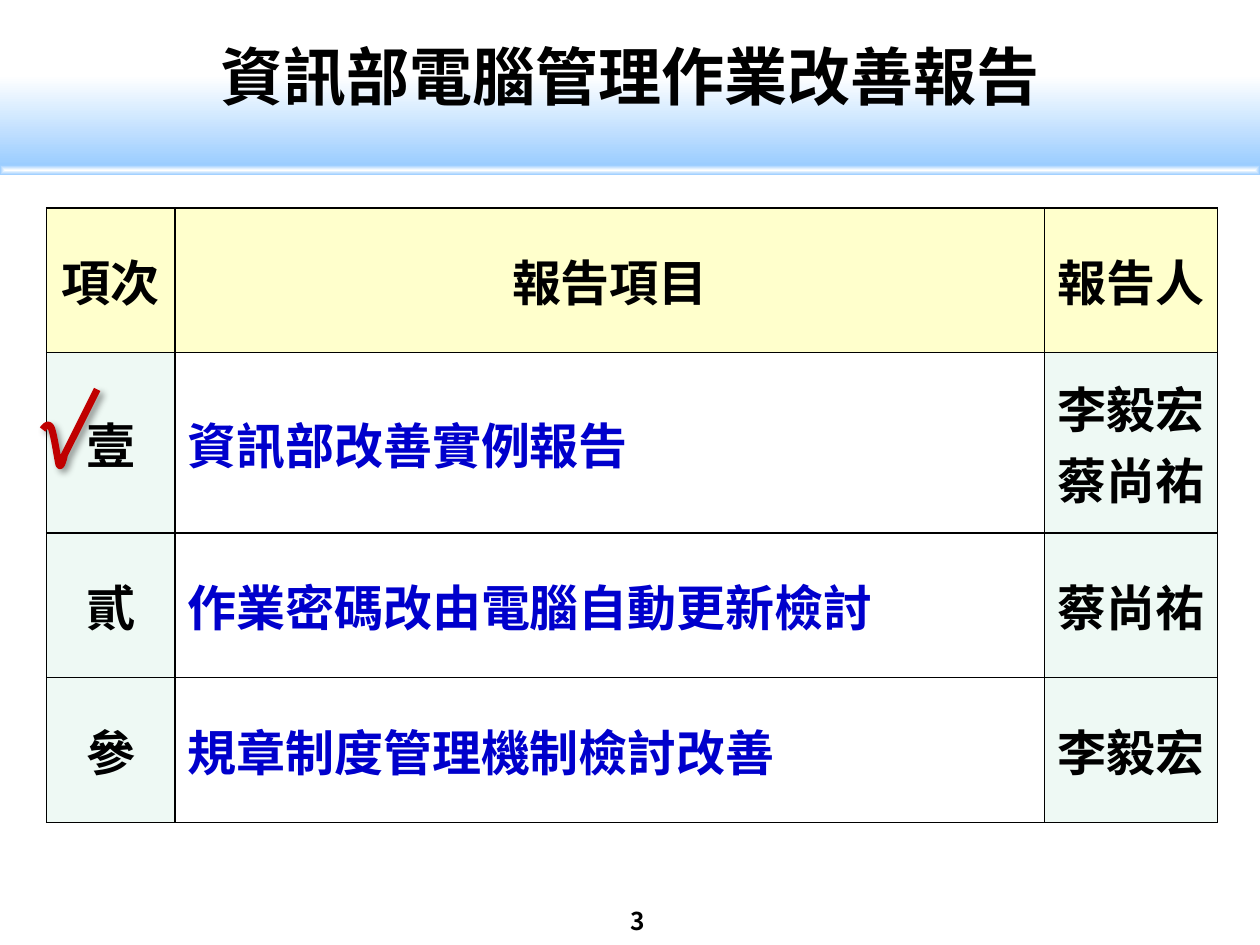
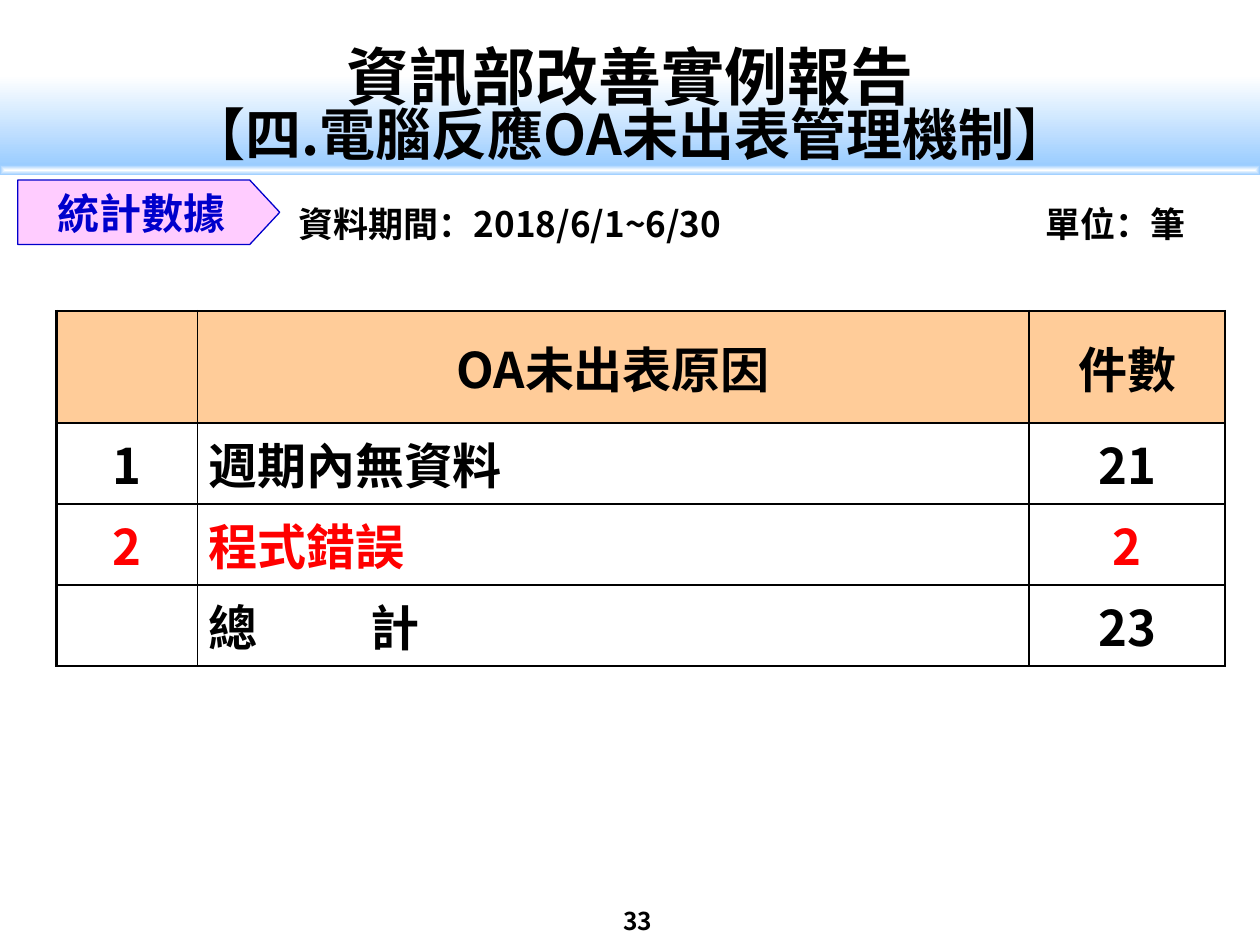
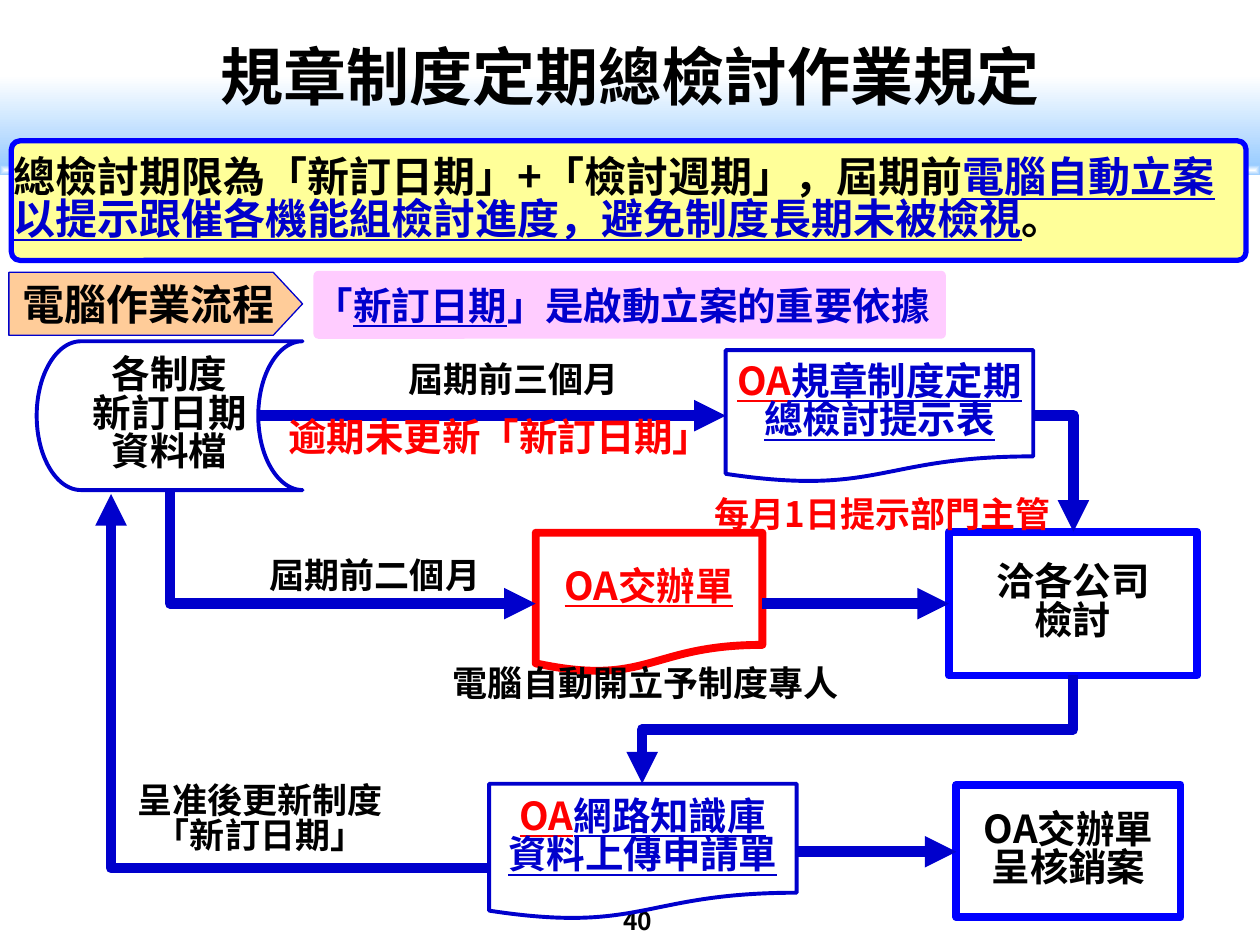
from lxml import etree
from pptx import Presentation
from pptx.dml.color import RGBColor
from pptx.enum.shapes import MSO_CONNECTOR, MSO_SHAPE
from pptx.enum.text import MSO_ANCHOR, MSO_AUTO_SIZE, PP_ALIGN
from pptx.oxml.ns import qn
from pptx.util import Cm, Pt

FONT = "Noto Sans CJK SC"
BLACK = RGBColor(0x00, 0x00, 0x00)
WHITE = RGBColor(0xFF, 0xFF, 0xFF)
SKY = RGBColor(0x99, 0xCC, 0xFF)
NAVY = RGBColor(0x00, 0x00, 0xCC)
BLUE = RGBColor(0x00, 0x00, 0xFF)
RED = RGBColor(0xFF, 0x00, 0x00)
DARK = RGBColor(0xC0, 0x00, 0x00)
CREAM = RGBColor(0xFF, 0xFF, 0xCC)
LEMON = RGBColor(0xFF, 0xFF, 0x99)
MINT = RGBColor(0xEE, 0xF9, 0xF4)
PINK = RGBColor(0xFF, 0xCC, 0xFF)
PEACH = RGBColor(0xFF, 0xCC, 0x99)
LEFT, MID = PP_ALIGN.LEFT, PP_ALIGN.CENTER
CENTRED, FIXED = MSO_ANCHOR.MIDDLE, MSO_AUTO_SIZE.NONE
RECT, ROUND = MSO_SHAPE.RECTANGLE, MSO_SHAPE.ROUNDED_RECTANGLE
PLATE, DOC = MSO_SHAPE.PENTAGON, MSO_SHAPE.FLOWCHART_DOCUMENT
STORE = MSO_SHAPE.FLOWCHART_STORED_DATA
STRAIGHT, ELBOW = MSO_CONNECTOR.STRAIGHT, MSO_CONNECTOR.ELBOW
TIGHT = 0.83
PLAIN = {"vertical_anchor": CENTRED, "margin_left": 0, "margin_right": 0,
         "margin_top": 0, "margin_bottom": 0}


def write(frame, paras, size, color=BLACK, align=MID, gap=None):
    """Fill a frame; a paragraph is a string or a list of (text, colour, underline)."""
    for i, para in enumerate(paras):
        p = frame.paragraphs[0] if i == 0 else frame.add_paragraph()
        p.alignment = align
        p.line_spacing = gap
        runs = [(para, color, False)] if isinstance(para, str) else para
        for text, tint, under in runs:
            run = p.add_run()
            run.text = text
            look = {"size": Pt(size), "bold": True, "underline": under, "name": FONT}
            for key, value in look.items():
                setattr(run.font, key, value)
            run.font.color.rgb = tint
            etree.SubElement(run._r.get_or_add_rPr(), qn("a:ea"), typeface=FONT)


def box(slide, at, paras, size, form=None, fill=None, line=None, width=1, adj=None,
        pad=0, **look):
    """Add a preset shape, or a text box when no form is given; lengths in cm."""
    place = [Cm(n) for n in at]
    if form is None:
        shape = slide.shapes.add_textbox(*place)
    else:
        shape = slide.shapes.add_shape(form, *place)
        shape.shadow.inherit = False
        if adj:
            shape.adjustments[0] = adj
    if fill:
        shape.fill.solid()
        shape.fill.fore_color.rgb = fill
    else:
        shape.fill.background()
    if line:
        shape.line.color.rgb = line
        shape.line.width = Pt(width)
    else:
        shape.line.fill.background()
    style = PLAIN | {"word_wrap": True, "margin_left": Cm(pad), "margin_right": Cm(pad)}
    for key, value in style.items():
        setattr(shape.text_frame, key, value)
    write(shape.text_frame, paras, size, **look)


deck = Presentation()
deck.slide_width, deck.slide_height = Cm(25.4), Cm(19.05)

# Shared bands, titles and page numbers
slides = []
for head, page in [("資訊部電腦管理作業改善報告", "3"),
                   ("資訊部改善實例報告", "33"),
                   ("規章制度定期總檢討作業規定", "40")]:
    slide = deck.slides.add_slide(deck.slide_layouts[5])
    slides.append(slide)
    for top, high, inner in [(1.52, 1.85, False), (3.33, 0.2, True)]:
        band = slide.shapes.add_shape(RECT, 0, Cm(top), Cm(25.4), Cm(high))
        band.shadow.inherit = False
        band.line.fill.background()
        band.fill.gradient()
        band.fill.gradient_angle = 270
        for stop, tint in zip(band.fill.gradient_stops, (WHITE, SKY)):
            stop.color.rgb = tint
        if inner:
            grad = band.element.spPr.find(qn("a:gradFill"))
            grad.remove(grad.find(qn("a:lin")))
            focus = etree.SubElement(grad, qn("a:path"), {"path": "shape"})
            etree.SubElement(focus, qn("a:fillToRect"), dict.fromkeys("ltrb", "50000"))
    title = slide.shapes.title
    title.element.getparent().append(title.element)
    style = {"left": 0, "top": Cm(0.74), "width": Cm(25.4), "height": Cm(1.55)}
    for key, value in style.items():
        setattr(title, key, value)
    style = PLAIN | {"auto_size": FIXED}
    for key, value in style.items():
        setattr(title.text_frame, key, value)
    write(title.text_frame, [head], 36)
    box(slide, (11.66, 18.25, 2.39, 0.61), [page], 14)
agenda, stats, flow = slides

# Tables of the agenda and the statistics
plans = [
    {"slide": agenda, "at": (0.94, 4.19), "cols": (2.59, 17.53, 3.48),
     "rows": (2.92, 3.63, 2.92, 2.92), "edge": 1, "pad": 0.25,
     "head": CREAM, "side": MINT, "body": NAVY, "hot": None,
     "cells": [("項次", "報告項目", "報告人"),
               ("壹", "資訊部改善實例報告", "李毅宏\n蔡尚祐"),
               ("貳", "作業密碼改由電腦自動更新檢討", "蔡尚祐"),
               ("參", "規章制度管理機制檢討改善", "李毅宏")]},
    {"slide": stats, "at": (1.14, 6.27), "cols": (2.84, 16.76, 3.96),
     "rows": (2.26, 1.63, 1.63, 1.63), "edge": 1.5, "pad": 0.22,
     "head": PEACH, "side": WHITE, "body": BLACK, "hot": 2,
     "cells": [("", "OA未出表原因", "件數"),
               ("1", "週期內無資料", "21"),
               ("2", "程式錯誤", "2"),
               ("", "總\t計", "23")]},
]
for plan in plans:
    cols, rows = plan["cols"], plan["rows"]
    frame = plan["slide"].shapes.add_table(
        len(rows), len(cols), *[Cm(n) for n in (*plan["at"], sum(cols), sum(rows))])
    grid = frame.table
    for col, wide in zip(grid.columns, cols):
        col.width = Cm(wide)
    for row, high in zip(grid.rows, rows):
        row.height = Cm(high)
    for r, texts in enumerate(plan["cells"]):
        for c, text in enumerate(texts):
            cell = grid.cell(r, c)
            outer = {"L": c == 0, "R": c == len(cols) - 1,
                     "T": r == 0, "B": r == len(rows) - 1}
            prop = cell._tc.get_or_add_tcPr()
            for side, out in outer.items():
                wide = Pt(plan["edge"] if out else 1)
                edge = etree.SubElement(prop, qn("a:ln" + side), w=str(wide))
                solid = etree.SubElement(edge, qn("a:solidFill"))
                etree.SubElement(solid, qn("a:srgbClr"), val=str(BLACK))
            cell.fill.solid()
            main = r > 0 and c == 1
            cell.fill.fore_color.rgb = (plan["head"] if r == 0 else
                                        WHITE if main else plan["side"])
            pad = Cm(plan["pad"])
            style = PLAIN | {"margin_left": pad, "margin_right": pad}
            for key, value in style.items():
                setattr(cell, key, value)
            if "\t" in text:
                prop = cell.text_frame.paragraphs[0]._p.get_or_add_pPr()
                tabs = etree.SubElement(prop, qn("a:tabLst"))
                etree.SubElement(tabs, qn("a:tab"), pos=str(Cm(3.27)), algn="l")
            if text:
                tint = RED if r == plan["hot"] else plan["body"] if main else BLACK
                write(cell.text_frame, text.split("\n"), 28, tint, LEFT if main else MID)

# Check mark beside the first item: cubic curves, then a straight stroke
start = (0.86, 8.66)
curves = [((0.91, 8.59), (0.99, 8.51), (1.04, 8.64)),
          ((1.09, 8.76), (1.17, 9.3), (1.19, 9.37)),
          ((1.24, 9.47), (1.3, 9.17), (1.3, 9.17))]
dots, last = [], start
for one, two, end in curves:
    for step in range(1, 9):
        t = step / 8
        dots.append([(1 - t) ** 3 * a + 3 * t * (1 - t) ** 2 * b
                     + 3 * t * t * (1 - t) * c + t ** 3 * d
                     for a, b, c, d in zip(last, one, two, end)])
    last = end
dots.append((1.96, 7.85))
pen = agenda.shapes.build_freeform(Cm(start[0]), Cm(start[1]))
pen.add_line_segments([(Cm(x), Cm(y)) for x, y in dots], close=False)
check = pen.convert_to_shape()
check.fill.background()
check.line.color.rgb = DARK
check.line.width = Pt(4)
check.shadow.inherit = False
glow = etree.SubElement(check.element.spPr.find(qn("a:effectLst")), qn("a:outerShdw"),
                        blurRad=str(Pt(4)), dist=str(Pt(3)), dir="2700000")
shade = etree.SubElement(glow, qn("a:srgbClr"), val=str(BLACK))
etree.SubElement(shade, qn("a:alpha"), val="40000")

# Labels of the statistics
box(stats, (0, 2.01, 25.4, 1.35), ["【四.電腦反應OA未出表管理機制】"], 32)
box(stats, (0.36, 3.63, 5.28, 1.3), ["統計數據"], 24, PLATE, PINK, NAVY, 0.75, 0.465,
    color=NAVY)
box(stats, (5.77, 3.96, 9.47, 1.09), ["資料期間：2018/6/1~6/30"], 20, pad=0.25, align=LEFT)
box(stats, (20.83, 3.96, 3.4, 1.09), ["單位：筆"], 20, pad=0.25, align=LEFT)

# Review flow: steps
box(flow, (0.23, 2.84, 24.89, 2.41),
    [[("總檢討期限為「新訂日期」+「檢討週期」，屆期前", BLACK, False),
      ("電腦自動立案以提示跟催各機能組檢討進度，避免制度長期未被檢視", NAVY, True),
      ("。", BLACK, False)]],
    24, ROUND, LEMON, BLUE, 3, 0.071, align=LEFT, gap=TIGHT)
box(flow, (0.18, 5.49, 5.92, 1.27), ["電腦作業流程"], 24, PLATE, PEACH, NAVY, 0.75, 0.465)
box(flow, (6.32, 5.46, 12.75, 1.37),
    [[("「", NAVY, False), ("新訂日期", NAVY, True), ("」是啟動立案的重要依據", NAVY, False)]],
    22, ROUND, PINK, adj=0.071, align=LEFT)
steps = [
    ((0.74, 6.88, 5.36, 3), STORE, NAVY, 2.25, ["各制度", "新訂日期資料檔"]),
    ((10.8, 10.74, 4.57, 2.82), DOC, RED, 4.5, [[("OA交辦單", RED, True)]]),
    ((14.63, 7.06, 6.2, 2.67), DOC, NAVY, 2.25,
     [[("OA", RED, True), ("規章制度定期總檢討提示表", NAVY, True)]]),
    ((19.13, 10.72, 5, 2.9), RECT, BLUE, 4.5, ["洽各公司", "檢討"]),
    ((9.86, 15.8, 6.2, 2.74), DOC, NAVY, 2.25,
     [[("OA", RED, True), ("網路知識庫", NAVY, True)], [("資料上傳申請單", NAVY, True)]]),
    ((19.28, 15.82, 4.52, 2.67), RECT, BLUE, 4.5, ["OA交辦單", "呈核銷案"]),
]
for at, form, tint, width, paras in steps:
    box(flow, at, paras, 22, form, line=tint, width=width, gap=TIGHT)

# Review flow: arrows as kind, preset, ends, turn and the end with the head
arrows = [
    (STRAIGHT, None, (5.21, 8.38, 14.63, 8.38), 0, "tail"),
    (STRAIGHT, None, (15.37, 12.17, 19.13, 12.17), 0, "tail"),
    (STRAIGHT, None, (16.03, 17.17, 19.28, 17.17), 0, "tail"),
    (ELBOW, "bentConnector2", (20.83, 8.38, 21.64, 10.72), 0, "tail"),
    (ELBOW, "bentConnector2", (10.8, 12.17, 3.43, 9.91), 0, "head"),
    (ELBOW, "bentConnector2", (9.86, 17.5, 2.24, 9.96), 0, "tail"),
    (ELBOW, None, (16.2, 10.36, 18.38, 19.05), 90, "tail"),
]
for kind, preset, ends, turn, tip in arrows:
    line = flow.shapes.add_connector(kind, *[Cm(n) for n in ends])
    line.line.color.rgb = NAVY
    line.line.width = Pt(6)
    prop = line.element.spPr
    if preset:
        prop.find(qn("a:prstGeom")).set("prst", preset)
    if turn:
        prop.find(qn("a:xfrm")).set("rot", str(turn * 60000))
    etree.SubElement(prop.find(qn("a:ln")), qn(f"a:{tip}End"), type="triangle")
    etree.SubElement(prop, qn("a:effectLst"))

# Review flow: notes beside the arrows
notes = [
    ((7.95, 7.19, 4.8, 1.04), ["屆期前三個月"], 20, BLACK),
    ((5.51, 8.31, 9.14, 1.12), ["逾期未更新「新訂日期」"], 22, RED),
    ((14.15, 9.45, 7.29, 1.96), ["每月1日提示部門主管"], 20, RED),
    ((5.16, 11.13, 4.8, 1.04), ["屆期前二個月"], 20, BLACK),
    ((8.84, 13.31, 8.36, 1.04), ["電腦自動開立予制度專人"], 20, BLACK),
    ((2.49, 15.57, 5.51, 1.96), ["呈准後更新制度", "「新訂日期」"], 20, BLACK),
]
for at, paras, size, tint in notes:
    box(flow, at, paras, size, pad=0.25, color=tint, gap=TIGHT)

deck.save("out.pptx")
